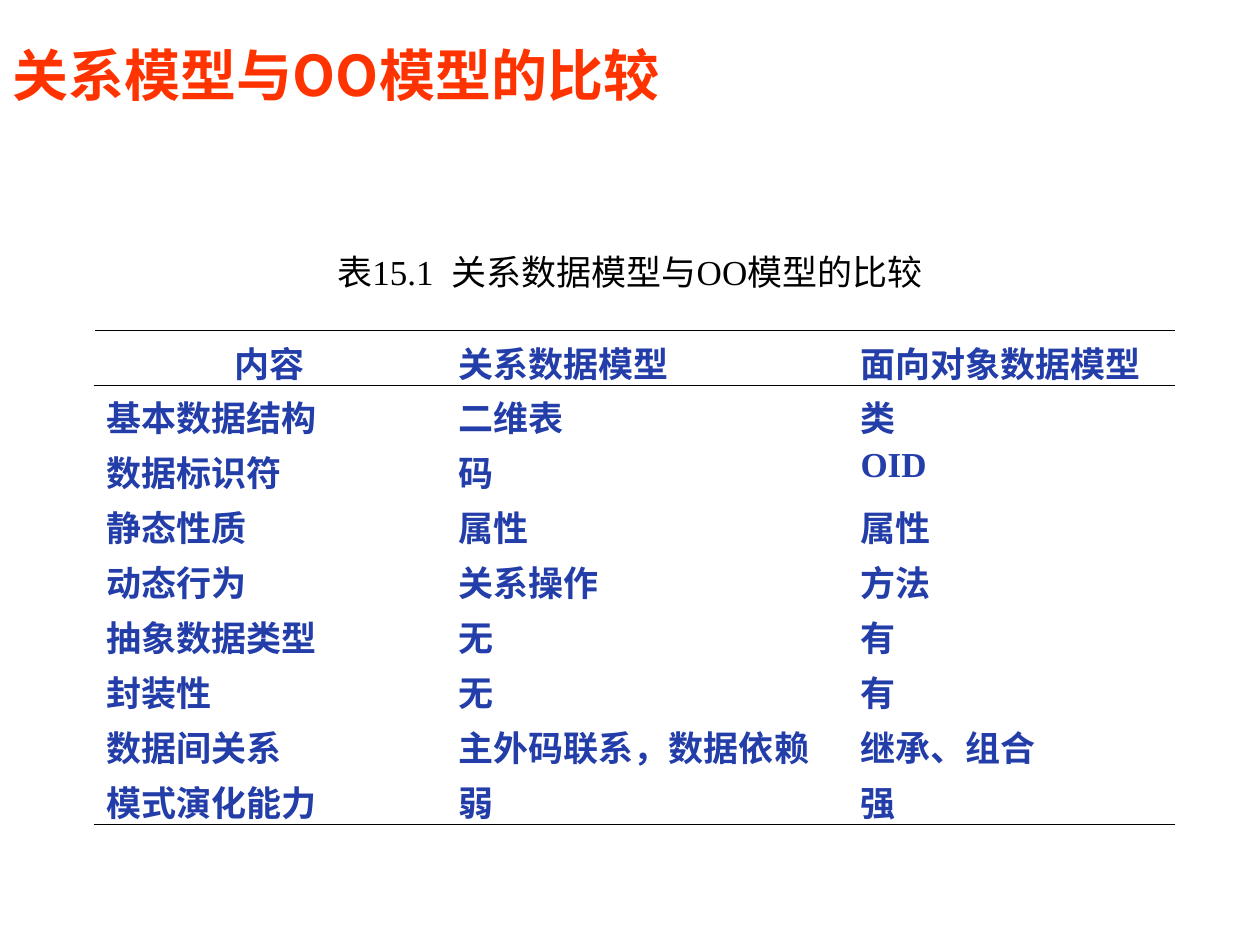
import pptx
import pptx.util
import pptx.dml.color
import pptx.enum.text
import pptx.oxml
import pptx.oxml.ns

TITLE = "关系模型与OO模型的比较"
CAPTION = "表15.1  关系数据模型与OO模型的比较"
ROWS = [
    ("内容", "关系数据模型", "面向对象数据模型"),
    ("基本数据结构", "二维表", "类"),
    ("数据标识符", "码", "OID"),
    ("静态性质", "属性", "属性"),
    ("动态行为", "关系操作", "方法"),
    ("抽象数据类型", "无", "有"),
    ("封装性", "无", "有"),
    ("数据间关系", "主外码联系，数据依赖", "继承、组合"),
    ("模式演化能力", "弱", "强"),
]
COLUMN_WIDTHS = (352, 402, 327)
ROW_HEIGHT = 55
TABLE_LEFT, TABLE_TOP = 94, 330
CJK_FONT, LATIN_FONT = "Noto Sans CJK SC", "Times New Roman"
BLACK, WHITE, RED, BLUE = "000000", "FFFFFF", "FF3300", "233DA9"
ALIGN = pptx.enum.text.PP_ALIGN
ANCHOR = pptx.enum.text.MSO_ANCHOR


def px(length):
    return pptx.util.Emu(round(length * 914400 / 126))


def color(value):
    return pptx.dml.color.RGBColor.from_string(value)


def write(text_frame, text, size, font_name, fill, bold=False, align=ALIGN.LEFT):
    text_frame.text = text
    paragraph = text_frame.paragraphs[0]
    paragraph.alignment = align
    font = paragraph.runs[0].font
    font.size = pptx.util.Pt(size)
    font.name = font_name
    font.bold = bold
    font.color.rgb = color(fill)
    east_asian = pptx.oxml.parse_xml(
        f'<a:ea {pptx.oxml.ns.nsdecls("a")} typeface="{CJK_FONT}"/>')
    paragraph.runs[0]._r.rPr.find(pptx.oxml.ns.qn("a:latin")).addnext(east_asian)


def add_text(slide, box, wrap, *style, **options):
    text_frame = slide.shapes.add_textbox(*map(px, box)).text_frame
    text_frame.word_wrap = wrap
    text_frame.vertical_anchor = ANCHOR.MIDDLE
    write(text_frame, *style, **options)


def set_borders(cell, **sides):
    properties = cell._tc.get_or_add_tcPr()
    for side in "LRTB":
        line = sides.get(side)
        paint = (f'<a:solidFill><a:srgbClr val="{line}"/></a:solidFill>'
                 if line else "<a:noFill/>")
        properties.append(pptx.oxml.parse_xml(
            f'<a:ln{side} {pptx.oxml.ns.nsdecls("a")} w="5715">{paint}</a:ln{side}>'))


def add_comparison(slide):
    table = slide.shapes.add_table(
        len(ROWS), len(COLUMN_WIDTHS), px(TABLE_LEFT), px(TABLE_TOP),
        px(sum(COLUMN_WIDTHS)), px(ROW_HEIGHT * len(ROWS))).table
    table.first_row = table.horz_banding = False
    for column, width in zip(table.columns, COLUMN_WIDTHS):
        column.width = px(width)
    last_row, last_column = len(ROWS) - 1, len(COLUMN_WIDTHS) - 1
    for row_index, texts in enumerate(ROWS):
        table.rows[row_index].height = px(ROW_HEIGHT)
        for column_index, text in enumerate(texts):
            cell = table.cell(row_index, column_index)
            centered = row_index == column_index == 0
            write(cell.text_frame, text, 20, LATIN_FONT, BLUE, bold=True,
                  align=ALIGN.CENTER if centered else ALIGN.LEFT)
            set_borders(
                cell,
                L=WHITE if column_index == 0 else None,
                R=WHITE if column_index == last_column else None,
                T=BLACK if row_index in (0, 1) else None,
                B=BLACK if row_index in (0, last_row) else None)
            cell.fill.background()


def main():
    presentation = pptx.Presentation()
    presentation.slide_width, presentation.slide_height = px(1260), px(945)
    slide = presentation.slides.add_slide(presentation.slide_layouts[6])
    add_text(slide, (0, 35, 1018, 78), True, TITLE, 32, CJK_FONT, RED, bold=True)
    add_text(slide, (308, 244, 644, 55), False, CAPTION, 20, LATIN_FONT, BLACK,
             align=ALIGN.CENTER)
    add_comparison(slide)
    presentation.save("out.pptx")


if __name__ == "__main__":
    main()
